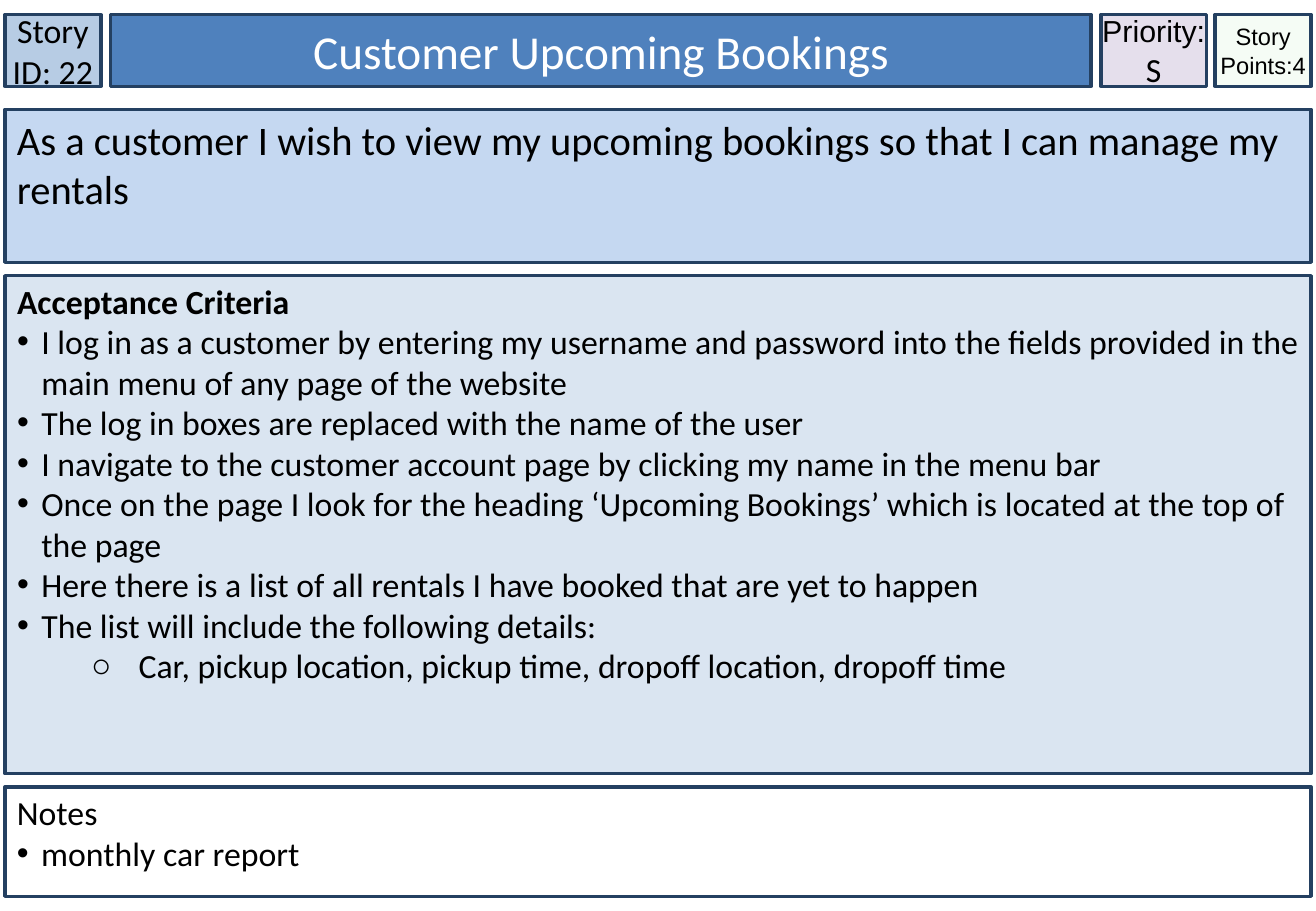
from lxml import etree
from pptx import Presentation
from pptx.dml.color import RGBColor
from pptx.enum import shapes, text
from pptx.oxml import ns
from pptx.util import Inches, Pt

# Content: each paragraph is (style, [(words, size, font), ...])
STORY_ID = [("center", [("Story ID: 22", 20, "Calibri")])]
TITLE = [("center", [("Customer Upcoming Bookings", 28, "Calibri")])]
PRIORITY = [("center", [("Priority:", 18, "Arial"), ("S", 20, "Calibri")])]
POINTS = [("center", [("Story Points:4", 14, "Arial")])]
STORY = [("plain", [("As a customer I wish to view my upcoming bookings "
                     "so that I can manage my rentals", 24, "Calibri")])]
CRITERIA = [(style, [(words, 20, "Calibri")]) for style, words in [
    ("heading", "Acceptance Criteria"),
    ("bullet", "I log in as a customer by entering my username and password "
               "into the fields provided in the main menu of any page of the website"),
    ("bullet", "The log in boxes are replaced with the name of the user"),
    ("bullet", "I navigate to the customer account page by clicking my name in the menu bar"),
    ("bullet", "Once on the page I look for the heading ‘Upcoming Bookings’ "
               "which is located at the top of the page"),
    ("bullet", "Here there is a list of all rentals I have booked that are yet to happen"),
    ("bullet", "The list will include the following details:"),
    ("detail", "Car, pickup location, pickup time, dropoff location, dropoff time"),
]]
REMARKS = [(style, [(words, 20, "Calibri")]) for style, words in [
    ("plain", "Notes"), ("bullet", "monthly car report")]]

COLOURS = {
    "edge": "244061", "ink": "000000", "title ink": "FFFFFF",
    "id": "B7CCE4", "title": "4F81BD", "priority": "E5DFEC", "points": "F5FCF5",
    "story": "C5D8F1", "criteria": "DAE5F1", "remarks": "FFFFFF",
}
# Bullet styles: character, left margin, hanging indent, level
BULLETS = {"bullet": ("•", 0.2, -0.2, 0), "detail": ("○", 1, -0.39, 1)}

# Layout: a header row above three full-width panels
LEFT, FULL_WIDTH = 0.04, 10.75
HEADER = [("id", STORY_ID, 0.04, 0.79), ("title", TITLE, 0.91, 8.07),
          ("priority", PRIORITY, 9.06, 0.87), ("points", POINTS, 10, 0.79)]
PANELS = [("story", STORY, 0.9, 1.26, 0.05), ("criteria", CRITERIA, 2.27, 4.1, 0.04),
          ("remarks", REMARKS, 6.48, 0.9, 0.04)]


def colour(name):
    return RGBColor.from_string(COLOURS[name])


def set_bullet(para, style):
    props = para._p.get_or_add_pPr()
    char, margin, indent, level = BULLETS.get(style, (None, 0, 0, 0))
    para.level = level
    props.set("marL", str(Inches(margin)))
    props.set("indent", str(Inches(indent)))
    if char is None:
        etree.SubElement(props, ns.qn("a:buNone"))
        return
    tint = etree.SubElement(props, ns.qn("a:buClr"))
    etree.SubElement(tint, ns.qn("a:srgbClr"), val=COLOURS["ink"])
    etree.SubElement(props, ns.qn("a:buFont"), typeface="Arial")
    etree.SubElement(props, ns.qn("a:buChar"), char=char)


def fill_text(frame, content, ink):
    for index, (style, spans) in enumerate(content):
        para = frame.paragraphs[0] if index == 0 else frame.add_paragraph()
        set_bullet(para, style)
        para.space_before = Pt(0)
        centered = style == "center"
        para.alignment = text.PP_ALIGN.CENTER if centered else text.PP_ALIGN.LEFT
        for words, size, font in spans:
            span = para.add_run()
            span.text = words
            span.font.size, span.font.name = Pt(size), font
            span.font.bold = style == "heading"
            span.font.color.rgb = colour(ink)


def add_card(page, name, content, area, insets, anchor):
    area = [Inches(length) for length in area]
    if name in placeholders:
        box = placeholders[name]
        box.left, box.top, box.width, box.height = area
    else:
        box = page.shapes.add_shape(shapes.MSO_SHAPE.RECTANGLE, *area)
        box.shadow.inherit = False
    box.fill.solid()
    box.fill.fore_color.rgb = colour(name)
    box.line.color.rgb = colour("edge")
    box.line.width = Pt(2)

    frame = box.text_frame
    frame.word_wrap = True
    frame.auto_size = text.MSO_AUTO_SIZE.NONE
    frame.vertical_anchor = anchor
    left, top, right = insets
    frame.margin_left, frame.margin_right = Inches(left), Inches(right)
    frame.margin_top, frame.margin_bottom = Inches(top), Inches(0.05)
    fill_text(frame, content, "title ink" if name == "title" else "ink")


deck = Presentation()
deck.slide_width, deck.slide_height = Inches(10.83), Inches(7.5)
page = deck.slides.add_slide(deck.slide_layouts[1])
placeholders = {"title": page.shapes.title, "criteria": page.placeholders[1]}

# Header row
for name, content, left, width in HEADER:
    side = 0.1 if name == "title" else 0
    add_card(page, name, content, (left, 0.12, width, 0.59),
             (side, 0.05, side), text.MSO_ANCHOR.MIDDLE)

# Story, criteria and remarks panels; the right inset leaves room for full lines
for name, content, top, height, inset in PANELS:
    add_card(page, name, content, (LEFT, top, FULL_WIDTH, height),
             (0.1, inset, 0.08), text.MSO_ANCHOR.TOP)

deck.save("out.pptx")
